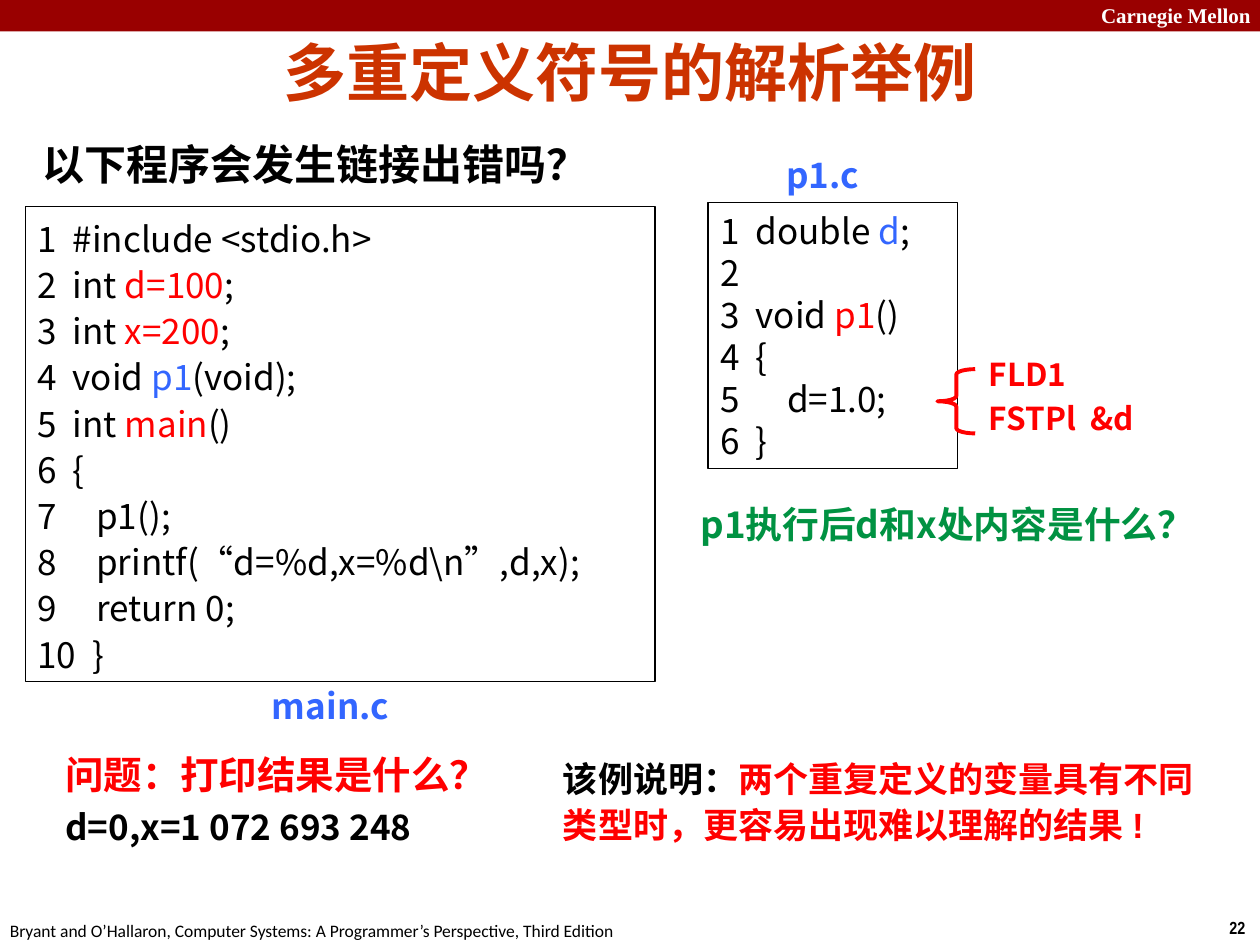
from pptx import Presentation
from pptx.dml.color import RGBColor
from pptx.enum.shapes import MSO_SHAPE
from pptx.enum.text import MSO_ANCHOR, MSO_AUTO_SIZE, PP_ALIGN
from pptx.util import Inches, Pt

BLACK = RGBColor(0x00, 0x00, 0x00)
WHITE = RGBColor(0xFF, 0xFF, 0xFF)
RED = RGBColor(0xFF, 0x00, 0x00)
BLUE = RGBColor(0x33, 0x66, 0xFF)
GREEN = RGBColor(0x00, 0x92, 0x42)
MAROON = RGBColor(0x99, 0x00, 0x00)
ORANGE = RGBColor(0xCC, 0x33, 0x00)
NOTO = "Noto Sans CJK SC"


def add_preset(kind, at, fill=None, line=None, width=0.75):
    sp = s.shapes.add_shape(kind, *map(Inches, at))
    sp.shadow.inherit = False
    if fill is None:
        sp.fill.background()
    else:
        sp.fill.solid()
        sp.fill.fore_color.rgb = fill
    if line is None:
        sp.line.fill.background()
    else:
        sp.line.color.rgb = line
        sp.line.width = Pt(width)
    return sp


def write(sp, lines, size, name, bold=True, wrap=True, grow=True,
          anchor=MSO_ANCHOR.TOP, align=PP_ALIGN.LEFT, spacing=None, before=0):
    tf = sp.text_frame
    frame = {
        "word_wrap": wrap,
        "auto_size": MSO_AUTO_SIZE.SHAPE_TO_FIT_TEXT if grow else MSO_AUTO_SIZE.NONE,
        "vertical_anchor": anchor,
    }
    for key, value in frame.items():
        setattr(tf, key, value)
    for i, runs in enumerate(lines):
        p = tf.paragraphs[0] if i == 0 else tf.add_paragraph()
        p.alignment = align
        if spacing:
            p.line_spacing = spacing
        if before and i:
            p.space_before = Pt(before)
        for text, color, *special in runs:
            r = p.add_run()
            r.text = text
            r.font.color.rgb = color
            style = {"size": Pt(size), "name": name, "bold": bold}
            style.update(*special)
            for key, value in style.items():
                setattr(r.font, key, value)


prs = Presentation()
prs.slide_width = Inches(10)
prs.slide_height = Inches(7.5)
s = prs.slides.add_slide(prs.slide_layouts[6])

add_preset(MSO_SHAPE.RECTANGLE, (0, 0, 10, 0.25), fill=MAROON)

texts = [
    ((8.64, -0.03, 1.43, 0.3), [[("Carnegie Mellon", WHITE)]],
     {"size": 12, "name": "Times New Roman"}),
    ((9.66, 7.23, 0.34, 0.27), [[("22", BLACK)]],
     {"size": 10, "name": "Arial Narrow", "wrap": False}),
    ((-0.02, 7.25, 5.08, 0.27),
     [[("Bryant and O’Hallaron, Computer Systems: A Programmer’s Perspective, Third Edition", BLACK)]],
     {"size": 10, "name": "Calibri", "bold": False, "wrap": False}),
    ((0.5, 0.26, 9, 0.61), [[("多重定义符号的解析举例", ORANGE)]],
     {"size": 36, "name": "Arial", "grow": False,
      "anchor": MSO_ANCHOR.MIDDLE, "align": PP_ALIGN.CENTER}),
    ((0.24, 1.05, 4.73, 0.5), [[("以下程序会发生链接出错吗？", BLACK)]],
     {"size": 24, "name": "Arial"}),
    ((6.14, 1.17, 0.86, 0.43), [[("p1.c", BLUE)]], {"size": 20, "name": NOTO}),
    ((2.06, 5.38, 1.32, 0.43), [[("main.c", BLUE)]], {"size": 20, "name": NOTO}),
    ((5.46, 3.93, 4.32, 0.45), [[("p1执行后d和x处内容是什么？", GREEN)]],
     {"size": 21, "name": NOTO}),
    ((0.42, 5.91, 5.43, 0.88),
     [[("问题：打印结果是什么？", RED)],
      [("d=0,x=1 072 693 248", BLACK, {"size": Pt(20), "name": NOTO})]],
     {"size": 22, "name": "Arial", "before": 5}),
    ((4.37, 5.93, 5.26, 0.83),
     [[("该例说明：", BLACK),
       ("两个重复定义的变量具有不同类型时，更容易出现难以理解的结果 !", RED)]],
     {"size": 20, "name": "Arial", "anchor": MSO_ANCHOR.MIDDLE, "spacing": 1.1}),
    ((7.75, 2.77, 1.62, 0.76), [[("FLD1", RED)], [("FSTPl  &d", RED)]],
     {"size": 18, "name": NOTO, "before": 3.6}),
]
for at, lines, style in texts:
    write(s.shapes.add_textbox(*map(Inches, at)), lines, **style)

main_code = [
    [("1  #include <stdio.h>", BLACK)],
    [("2  int ", BLACK), ("d=100", RED), (";", BLACK)],
    [("3  int ", BLACK), ("x=200", RED), (";", BLACK)],
    [("4  void ", BLACK), ("p1", BLUE), ("(void);", BLACK)],
    [("5  int ", BLACK), ("main", RED), ("()", BLACK)],
    [("6  {", BLACK)],
    [("7     p1();", BLACK)],
    [("8     printf(“d=%d,x=%d\\n”,d,x);", BLACK)],
    [("9     return 0;", BLACK)],
    [("10  }", BLACK)],
]
p1_code = [
    [("1  double ", BLACK), ("d", BLUE), (";", BLACK)],
    [("2", BLACK)],
    [("3  void ", BLACK), ("p1", RED), ("()", BLACK)],
    [("4  {", BLACK)],
    [("5      d=1.0;", BLACK)],
    [("6  }", BLACK)],
]
for at, code, wrap, spacing in [
    ((0.2, 1.64, 5, 3.77), main_code, False, 1.1),
    ((5.62, 1.61, 1.98, 2.11), p1_code, True, None),
]:
    sp = add_preset(MSO_SHAPE.RECTANGLE, at, line=BLACK)
    write(sp, code, 20, NOTO, bold=False, wrap=wrap,
          anchor=MSO_ANCHOR.MIDDLE, spacing=spacing)

brace = add_preset(MSO_SHAPE.LEFT_BRACE, (7.44, 2.93, 0.3, 0.51), line=RED, width=2.25)
brace.adjustments[0] = 0.14
brace.adjustments[1] = 0.5

prs.save("out.pptx")
